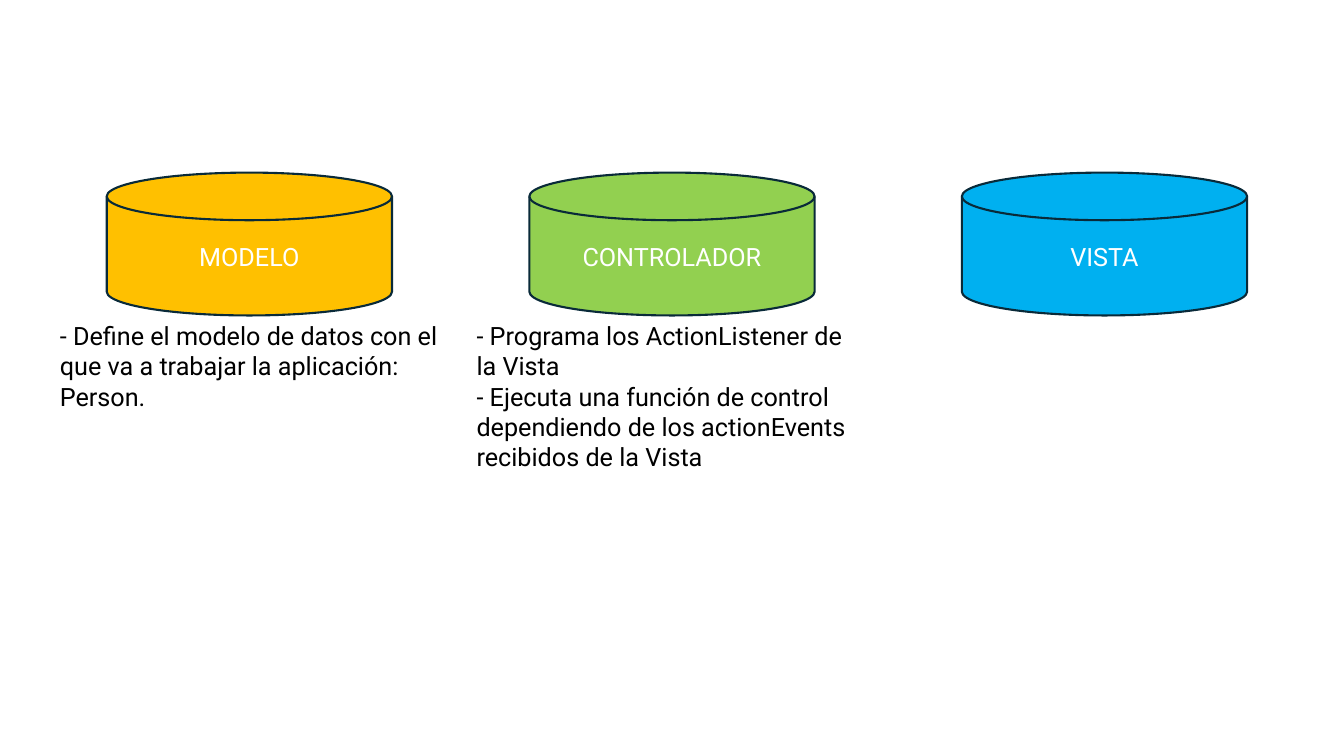
from pptx import Presentation
from pptx import util as u
from pptx.dml.color import RGBColor
from pptx.enum import shapes, text

# Content: label, colour, disk left (cm), notes left (cm), drawn lines, notes
LAYERS = [
    ("MODELO", "amber", 2.69, 1.26, 3, [
        "- Define el modelo de datos con el que va a trabajar la aplicación: Person.",
    ]),
    ("CONTROLADOR", "green", 13.34, 11.76, 5, [
        "- Programa los ActionListener de la Vista",
        "- Ejecuta una función de control dependiendo de los actionEvents recibidos de la Vista",
    ]),
    ("VISTA", "blue", 24.24, None, 0, []),
]

# Formats, lengths in cm
COLOURS = {"amber": "FFC000", "green": "92D050", "blue": "00B0F0",
           "outline": "092A39", "label": "FFFFFF", "notes": "000000"}
FONT = {"name": "Roboto", "size": u.Pt(18)}
DISK_TOP, DISK_WIDTH, DISK_HEIGHT = 4.35, 7.19, 3.6
NOTES_TOP, NOTES_WIDTH = DISK_TOP + DISK_HEIGHT, 10.34
LINE_HEIGHT, NOTES_MARGIN = 0.77, 0.25


def colour(name):
    return RGBColor.from_string(COLOURS[name])


def write(frame, lines, colour_name, alignment):
    for index, line in enumerate(lines):
        para = frame.paragraphs[0] if index == 0 else frame.add_paragraph()
        para.alignment = alignment
        span = para.add_run()
        span.text = line
        for attribute, value in FONT.items():
            setattr(span.font, attribute, value)
        span.font.color.rgb = colour(colour_name)


def add_disk(page, label, fill, left):
    disk = page.shapes.add_shape(
        shapes.MSO_SHAPE.FLOWCHART_MAGNETIC_DISK,
        u.Cm(left), u.Cm(DISK_TOP), u.Cm(DISK_WIDTH), u.Cm(DISK_HEIGHT))
    disk.shadow.inherit = False
    disk.fill.solid()
    disk.fill.fore_color.rgb = colour(fill)
    disk.line.color.rgb = colour("outline")
    disk.line.width = u.Pt(1.5)
    disk.text_frame.vertical_anchor = text.MSO_ANCHOR.MIDDLE
    write(disk.text_frame, [label], "label", text.PP_ALIGN.CENTER)


def add_notes(page, left, line_count, lines):
    height = line_count * LINE_HEIGHT + NOTES_MARGIN
    box = page.shapes.add_textbox(
        u.Cm(left), u.Cm(NOTES_TOP), u.Cm(NOTES_WIDTH), u.Cm(height))
    box.text_frame.word_wrap = True
    box.text_frame.auto_size = text.MSO_AUTO_SIZE.SHAPE_TO_FIT_TEXT
    write(box.text_frame, lines, "notes", text.PP_ALIGN.LEFT)


def main():
    deck = Presentation()
    deck.slide_width, deck.slide_height = u.Cm(33.87), u.Cm(19.05)
    page = deck.slides.add_slide(deck.slide_layouts[6])

    # One disk per layer, with its notes below
    for label, fill, disk_left, notes_left, line_count, lines in LAYERS:
        add_disk(page, label, fill, disk_left)
        if lines:
            add_notes(page, notes_left, line_count, lines)

    deck.save("out.pptx")


if __name__ == "__main__":
    main()
